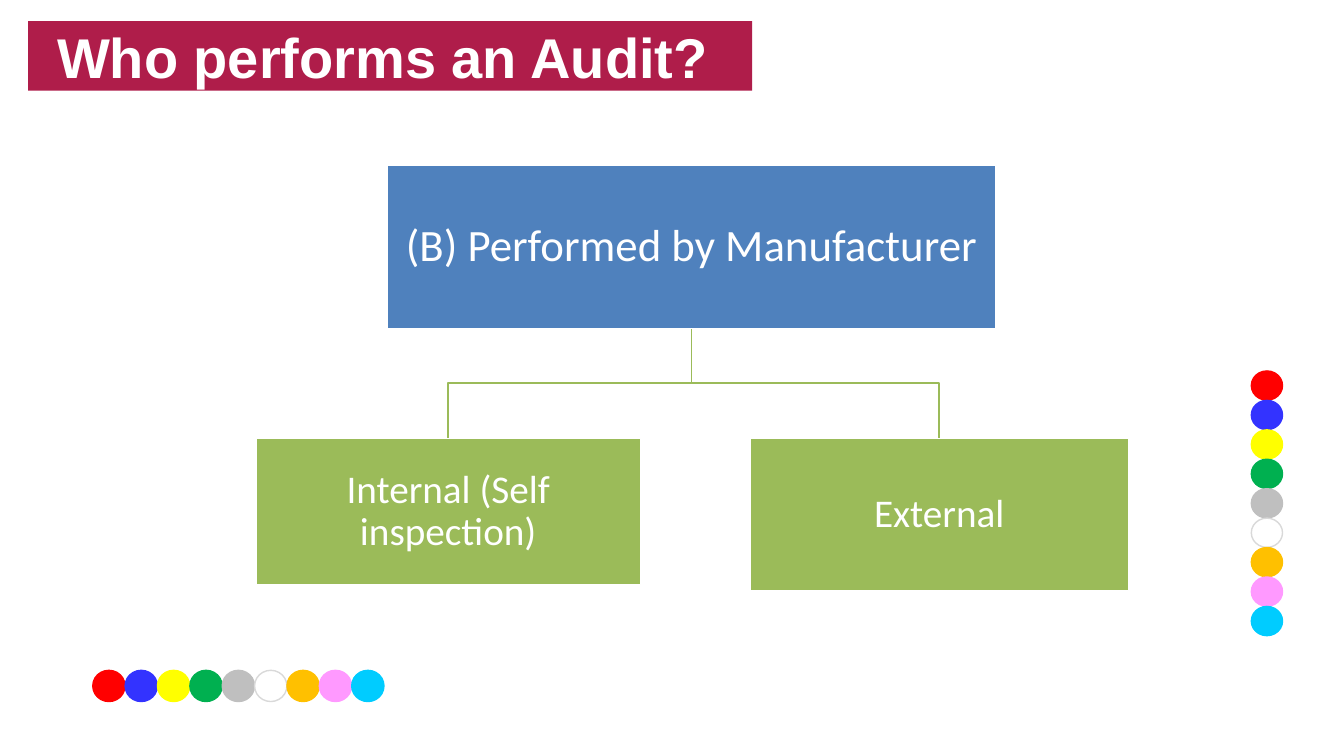
"""Build the slide that shows who performs an audit."""
from dataclasses import dataclass

from pptx import Presentation
from pptx.dml.color import RGBColor
from pptx.enum.shapes import MSO_SHAPE as Shape
from pptx.enum.text import MSO_ANCHOR as Anchor, PP_ALIGN as Align
from pptx.util import Inches, Pt


@dataclass(frozen=True)
class Theme:
    """Colours, fonts and type sizes of the slide."""
    banner: str = "AF1D4A"
    parent: str = "4F81BD"
    child: str = "9BBB59"
    white: str = "FFFFFF"
    ring: str = "D9D9D9"
    dots: tuple = ("FF0000", "3333FF", "FFFF00", "00B050", "BFBFBF",
                   "FFFFFF", "FFC000", "FF99FF", "00CCFF")
    title_font: str = "Arial"
    body_font: str = "Calibri"
    title_size: int = 40
    parent_size: int = 32
    child_size: int = 28


theme = Theme()
prs = Presentation()
prs.slide_width, prs.slide_height = Inches(13.33), Inches(7.5)
s = prs.slides.add_slide(prs.slide_layouts[6])


def add_shape(kind, box, fill, line=None):
    """Add a flat preset shape with an optional outline."""
    sp = s.shapes.add_shape(kind, *map(Inches, box))
    sp.shadow.inherit = False
    sp.fill.solid()
    sp.fill.fore_color.rgb = RGBColor.from_string(fill)
    if line:
        sp.line.color.rgb = RGBColor.from_string(line)
        sp.line.width = Pt(1)
    else:
        sp.line.fill.background()
    return sp


def write(sp, text, *, size, font=theme.body_font, bold=False, spacing=0.9,
          margin=0.02):
    """Write one centred white paragraph into a shape."""
    tf = sp.text_frame
    tf.word_wrap = True
    tf.vertical_anchor = Anchor.MIDDLE
    tf.margin_left = tf.margin_right = Inches(margin)
    tf.margin_top = tf.margin_bottom = Inches(margin)
    p = tf.paragraphs[0]
    p.alignment = Align.CENTER
    p.line_spacing = spacing
    r = p.add_run()
    r.text = text
    r.font.name, r.font.size, r.font.bold = font, Pt(size), bold
    r.font.color.rgb = RGBColor.from_string(theme.white)


for i, colour in enumerate(theme.dots):
    ring = theme.ring if colour == theme.white else colour
    side_dot = add_shape(Shape.FLOWCHART_CONNECTOR,
                         (12.42, 3.67 + i * 0.292, 0.29, 0.31), colour, ring)
    side_dot.rotation = 90
    add_shape(Shape.FLOWCHART_CONNECTOR,
              (0.92 + i * 0.321, 6.65, 0.32, 0.31), colour, ring)

banner = add_shape(Shape.RECTANGLE, (0.28, 0.21, 7.18, 0.69), theme.banner)
write(banner, "Who performs an Audit? ", size=theme.title_size,
      font=theme.title_font, bold=True, spacing=1.0, margin=0)

stem_x, stem_top, branch_y, child_top = 6.86, 3.26, 3.8, 4.35
children = (
    ("Internal (Self inspection)", 2.54, 3.81, 1.45),
    ("External", 7.44, 3.75, 1.51),
)
for text, left, width, height in children:
    child_x = left + width / 2
    fb = s.shapes.build_freeform(Inches(stem_x), Inches(stem_top))
    corners = ((stem_x, branch_y), (child_x, branch_y), (child_x, child_top))
    fb.add_line_segments([(Inches(x), Inches(y)) for x, y in corners],
                         close=False)
    branch = fb.convert_to_shape()
    branch.shadow.inherit = False
    branch.fill.background()
    branch.line.color.rgb = RGBColor.from_string(theme.child)
    branch.line.width = Pt(1)
    child = add_shape(Shape.RECTANGLE, (left, child_top, width, height),
                      theme.child, theme.white)
    write(child, text, size=theme.child_size)

parent = add_shape(Shape.RECTANGLE, (3.84, 1.64, 6.04, 1.62),
                   theme.parent, theme.white)
write(parent, "(B) Performed by Manufacturer", size=theme.parent_size)

prs.save("out.pptx")
